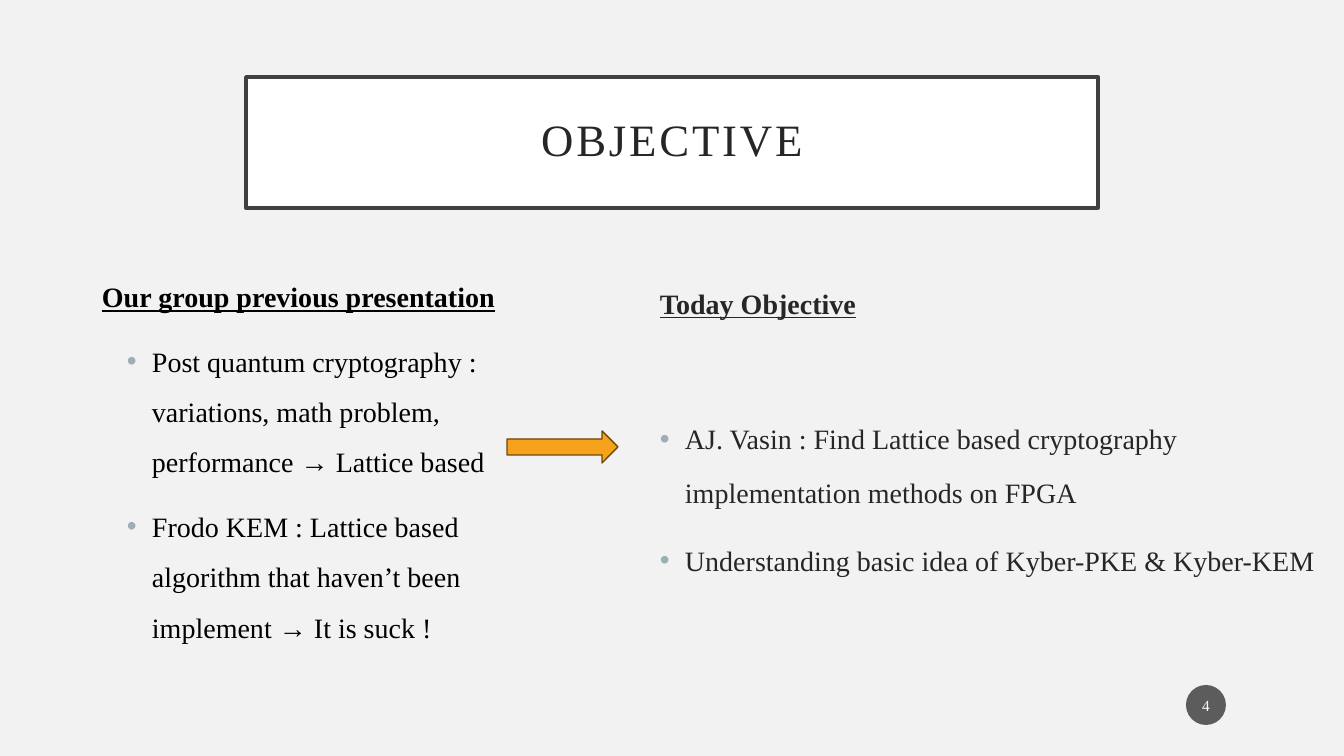
"""Builds the Objective slide: previous work on the left, today's goals on the right."""
from dataclasses import dataclass

from lxml import etree
from pptx import Presentation
from pptx.dml.color import RGBColor
from pptx.enum.shapes import MSO_SHAPE
from pptx.enum.text import MSO_ANCHOR, MSO_AUTO_SIZE, PP_ALIGN
from pptx.oxml.ns import qn
from pptx.util import Emu, Pt

RECTANGLE_ARROW, OVAL = MSO_SHAPE.RIGHT_ARROW, MSO_SHAPE.OVAL
TOP, MIDDLE = MSO_ANCHOR.TOP, MSO_ANCHOR.MIDDLE
LEFT, CENTER = PP_ALIGN.LEFT, PP_ALIGN.CENTER
NO_AUTOFIT = MSO_AUTO_SIZE.NONE

EMU_PER_PX = 914400 / 100.8
SERIF, SANS = "Times New Roman", "Arial"
COLORS = {
    "background": "F2F2F2", "panel": "FFFFFF", "frame": "404040",
    "ink": "262626", "black": "000000", "bullet": "9BAFB5",
    "arrow": "F6A21D", "arrow_edge": "6B470C", "badge": "1D1D1D",
}


@dataclass(frozen=True)
class Box:
    """A rectangle in px."""
    left: int
    top: int
    width: int
    height: int


@dataclass(frozen=True)
class Topic:
    """A heading with bulleted points below it."""
    box: Box
    heading: str
    points: tuple[str, ...]
    color: str
    line_spacing: float
    text_indent: int
    first_gap: float


TOPICS = (
    Topic(Box(92, 258, 471, 342), "Our group previous presentation",
          ("Post quantum cryptography : variations, math problem, performance → Lattice based",
           "Frodo KEM : Lattice based algorithm that haven’t been implement → It is suck !"),
          "black", 1.5, 50, 10),
    Topic(Box(650, 261, 681, 411), "Today Objective",
          ("AJ. Vasin : Find Lattice based cryptography implementation methods on FPGA",
           "Understanding basic idea of Kyber-PKE & Kyber-KEM"),
          "ink", 1.6, 25, 58.6),
)


def px(length: int) -> Emu:
    """Turn px into EMU."""
    return Emu(round(length * EMU_PER_PX))


def rgb(name: str) -> RGBColor:
    """Look up a named colour."""
    return RGBColor.from_string(COLORS[name])


def apply(target, values: dict) -> None:
    """Set each attribute of the target."""
    for name, value in values.items():
        setattr(target, name, value)


def place(box: Box) -> tuple[Emu, ...]:
    """Give the box as left, top, width and height in EMU."""
    return tuple(px(side) for side in (box.left, box.top, box.width, box.height))


def set_frame(frame, anchor, side: int, end: int) -> None:
    """Set the anchor, wrapping and margins of a text frame."""
    apply(frame, {"word_wrap": True, "auto_size": NO_AUTOFIT, "vertical_anchor": anchor,
                  "margin_left": px(side), "margin_right": px(side),
                  "margin_top": px(end), "margin_bottom": px(end)})


def add_run(paragraph, text: str, size: int, color: str, font: str = SERIF,
            strong: bool = False):
    """Add one formatted run."""
    run = paragraph.add_run()
    run.text = text
    apply(run.font, {"name": font, "size": Pt(size), "bold": strong, "underline": strong})
    run.font.color.rgb = rgb(color)
    return run


def set_bullet(paragraph, indent: int) -> None:
    """Give the paragraph a hanging bullet."""
    properties = paragraph._p.get_or_add_pPr()
    properties.set("marL", str(px(indent)))
    properties.set("indent", str(-px(25)))
    bullet_color = etree.SubElement(properties, qn("a:buClr"))
    etree.SubElement(bullet_color, qn("a:srgbClr"), val=COLORS["bullet"])
    etree.SubElement(properties, qn("a:buFont"), typeface=SANS)
    etree.SubElement(properties, qn("a:buChar"), char="•")


def add_title(slide, text: str, box: Box) -> None:
    """Format the title placeholder as a framed panel."""
    title = slide.shapes.title
    apply(title, dict(zip(("left", "top", "width", "height"), place(box))))
    title.fill.solid()
    title.fill.fore_color.rgb = rgb("panel")
    title.line.color.rgb = rgb("frame")
    title.line.width = Pt(2.5)
    set_frame(title.text_frame, MIDDLE, 20, 20)
    paragraph = title.text_frame.paragraphs[0]
    apply(paragraph, {"alignment": CENTER, "line_spacing": 0.9})
    run = add_run(paragraph, text, 32, "ink")
    run.font._element.set("spc", "200")


def add_topic(slide, topic: Topic) -> None:
    """Draw a heading and its points."""
    frame = slide.shapes.add_textbox(*place(topic.box)).text_frame
    set_frame(frame, TOP, 10, 5)
    heading = frame.paragraphs[0]
    apply(heading, {"alignment": LEFT, "line_spacing": topic.line_spacing,
                    "space_before": Pt(10)})
    add_run(heading, topic.heading, 20, topic.color, strong=True)
    for index, point in enumerate(topic.points):
        paragraph = frame.add_paragraph()
        gap = 10 if index else topic.first_gap
        apply(paragraph, {"alignment": LEFT, "line_spacing": topic.line_spacing,
                          "space_before": Pt(gap)})
        set_bullet(paragraph, topic.text_indent)
        before, arrow, after = point.partition("→")
        for text, font in ((before, SERIF), (arrow, SANS), (after, SERIF)):
            if text:
                add_run(paragraph, text, 20, topic.color, font)


def add_solid(slide, preset, box: Box, fill: str):
    """Draw a filled preset shape without a shadow or outline."""
    shape = slide.shapes.add_shape(preset, *place(box))
    shape.shadow.inherit = False
    shape.fill.solid()
    shape.fill.fore_color.rgb = rgb(fill)
    shape.line.fill.background()
    return shape


def add_page_badge(slide, number: str, box: Box) -> None:
    """Draw the page number in a translucent disc."""
    badge = add_solid(slide, OVAL, box, "badge")
    fill_color = badge._element.spPr.find(f"{qn('a:solidFill')}/{qn('a:srgbClr')}")
    etree.SubElement(fill_color, qn("a:alpha"), val="70000")
    set_frame(badge.text_frame, MIDDLE, 2, 5)
    paragraph = badge.text_frame.paragraphs[0]
    paragraph.alignment = CENTER
    add_run(paragraph, number, 11, "panel")


def main() -> None:
    """Build and save the slide."""
    deck = Presentation()
    apply(deck, {"slide_width": px(1344), "slide_height": px(756)})
    slide = deck.slides.add_slide(deck.slide_layouts.get_by_name("Title Only"))
    slide.background.fill.solid()
    slide.background.fill.fore_color.rgb = rgb("background")
    add_title(slide, "OBJECTIVE", Box(246, 77, 852, 131))
    for topic in TOPICS:
        add_topic(slide, topic)
    arrow = add_solid(slide, RECTANGLE_ARROW, Box(507, 431, 111, 32), "arrow")
    arrow.line.color.rgb = rgb("arrow_edge")
    arrow.line.width = Pt(1)
    add_page_badge(slide, "4", Box(1186, 685, 40, 40))
    deck.save("out.pptx")


if __name__ == "__main__":
    main()
